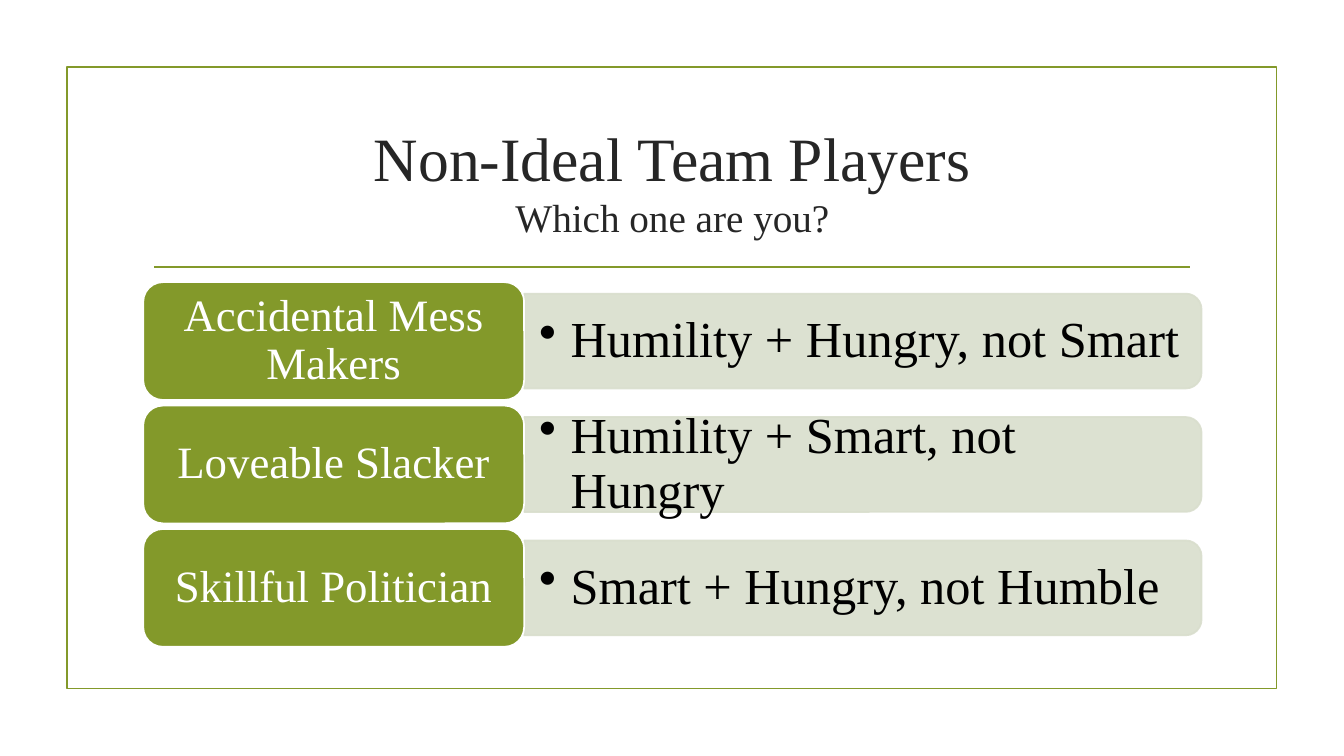
from dataclasses import dataclass

from lxml import etree
from pptx import Presentation
from pptx.dml.color import RGBColor
from pptx.enum import shapes, text
from pptx.oxml import ns
from pptx.util import Cm, Pt


@dataclass(frozen=True)
class Theme:
    """Colours, font and type sizes of the slide."""
    green: str = "83992A"
    pale: str = "D9DECD"
    white: str = "FFFFFF"
    black: str = "000000"
    dark: str = "262626"
    font: str = "Times New Roman"
    title: int = 44
    sub: int = 28
    label: int = 32
    point: int = 36
    line: float = 1.25


THEME = Theme()
ROWS = (
    ("Accidental Mess Makers", "Humility + Hungry, not Smart"),
    ("Loveable Slacker", "Humility + Smart, not Hungry"),
    ("Skillful Politician", "Smart + Hungry, not Humble"),
)
LEFT, TOP, PITCH = Cm(3.61), Cm(7.11), Cm(3.11)
LABEL_W, LABEL_H = Cm(9.6), Cm(2.97)
BAR_W, BAR_H = Cm(17.07), Cm(2.39)
TEXT_W, TEXT_H = Cm(16.94), Cm(2.13)


def add_run(para, words, size, color):
    """Add one styled run to a paragraph."""
    run = para.add_run()
    run.text = words
    run.font.name = THEME.font
    run.font.size = Pt(size)
    run.font.color.rgb = RGBColor.from_string(color)


def set_frame(frame, side, edge):
    """Wrap and centre a text frame vertically, and set its insets."""
    frame.word_wrap = True
    frame.auto_size = text.MSO_AUTO_SIZE.NONE
    frame.vertical_anchor = text.MSO_ANCHOR.MIDDLE
    frame.margin_left = frame.margin_right = side
    frame.margin_top = frame.margin_bottom = edge


def add_box(slide, kind, box, fill, line):
    """Add a preset shape with an optional fill and a thin outline."""
    shape = slide.shapes.add_shape(kind, *box)
    shape.shadow.inherit = False
    if fill:
        shape.fill.solid()
        shape.fill.fore_color.rgb = RGBColor.from_string(fill)
    else:
        shape.fill.background()
    shape.line.color.rgb = RGBColor.from_string(line)
    shape.line.width = Pt(THEME.line)
    return shape


def add_rule(slide, left, right, top):
    """Add the horizontal rule under the title."""
    rule = slide.shapes.add_connector(
        shapes.MSO_CONNECTOR.STRAIGHT, left, top, right, top)
    rule.line.color.rgb = RGBColor.from_string(THEME.green)
    rule.line.width = Pt(THEME.line)
    etree.SubElement(rule.element.spPr, ns.qn("a:effectLst"))


def add_title(slide, head, sub):
    """Fill the title placeholder with a heading and a smaller second line."""
    title = slide.shapes.title
    title.left, title.top = LEFT, Cm(2.72)
    title.width, title.height = Cm(26.67), Cm(3.63)
    set_frame(title.text_frame, Cm(0.25), Cm(0.13))
    para = title.text_frame.paragraphs[0]
    para.alignment = text.PP_ALIGN.CENTER
    add_run(para, head, THEME.title, THEME.dark)
    para.add_line_break()
    add_run(para, sub, THEME.sub, THEME.dark)


def add_bar(slide, left, mid):
    """Add a pale translucent bar, rounded at its right end."""
    box = (left + (BAR_W - BAR_H) // 2, mid - BAR_W // 2, BAR_H, BAR_W)
    bar = add_box(slide, shapes.MSO_SHAPE.ROUND_2_SAME_RECTANGLE, box,
                  THEME.pale, THEME.pale)
    bar.rotation = 90
    for color in bar.element.spPr.iter(ns.qn("a:srgbClr")):
        etree.SubElement(color, ns.qn("a:alpha"), val="90000")


def add_point(slide, left, mid, words):
    """Add a bulleted line over a bar."""
    box = slide.shapes.add_textbox(left, mid - TEXT_H // 2, TEXT_W, TEXT_H)
    set_frame(box.text_frame, Cm(0.38), Cm(0.18))
    para = box.text_frame.paragraphs[0]
    para.level = 1
    para.line_spacing = 0.9
    props = para._p.get_or_add_pPr()
    props.set("marL", str(Cm(0.79)))
    props.set("indent", str(-Cm(0.79)))
    etree.SubElement(props, ns.qn("a:buChar"), char="•")
    add_run(para, words, THEME.point, THEME.black)


def add_label(slide, top, words):
    """Add a green rounded label."""
    label = add_box(slide, shapes.MSO_SHAPE.ROUNDED_RECTANGLE,
                    (LEFT, top, LABEL_W, LABEL_H), THEME.green, THEME.white)
    set_frame(label.text_frame, Cm(0.33), Cm(0.18))
    para = label.text_frame.paragraphs[0]
    para.alignment = text.PP_ALIGN.CENTER
    para.line_spacing = 0.9
    add_run(para, words, THEME.label, THEME.white)


def add_row(slide, top, name, traits):
    """Add a label with its bar and bulleted traits."""
    left, mid = LEFT + LABEL_W, top + LABEL_H // 2
    add_bar(slide, left, mid)
    add_point(slide, left, mid, traits)
    add_label(slide, top, name)


def main():
    """Build and save the slide."""
    deck = Presentation()
    deck.slide_width, deck.slide_height = Cm(33.87), Cm(19.05)
    slide = deck.slides.add_slide(deck.slide_layouts.get_by_name("Title Only"))
    add_box(slide, shapes.MSO_SHAPE.RECTANGLE,
            (Cm(1.69), Cm(1.69), Cm(30.48), Cm(15.66)), None, THEME.green)
    add_rule(slide, Cm(3.89), Cm(30), Cm(6.72))
    add_title(slide, "Non-Ideal Team Players", "Which one are you?")
    for i, (name, traits) in enumerate(ROWS):
        add_row(slide, TOP + i * PITCH, name, traits)
    deck.save("out.pptx")


if __name__ == "__main__":
    main()
